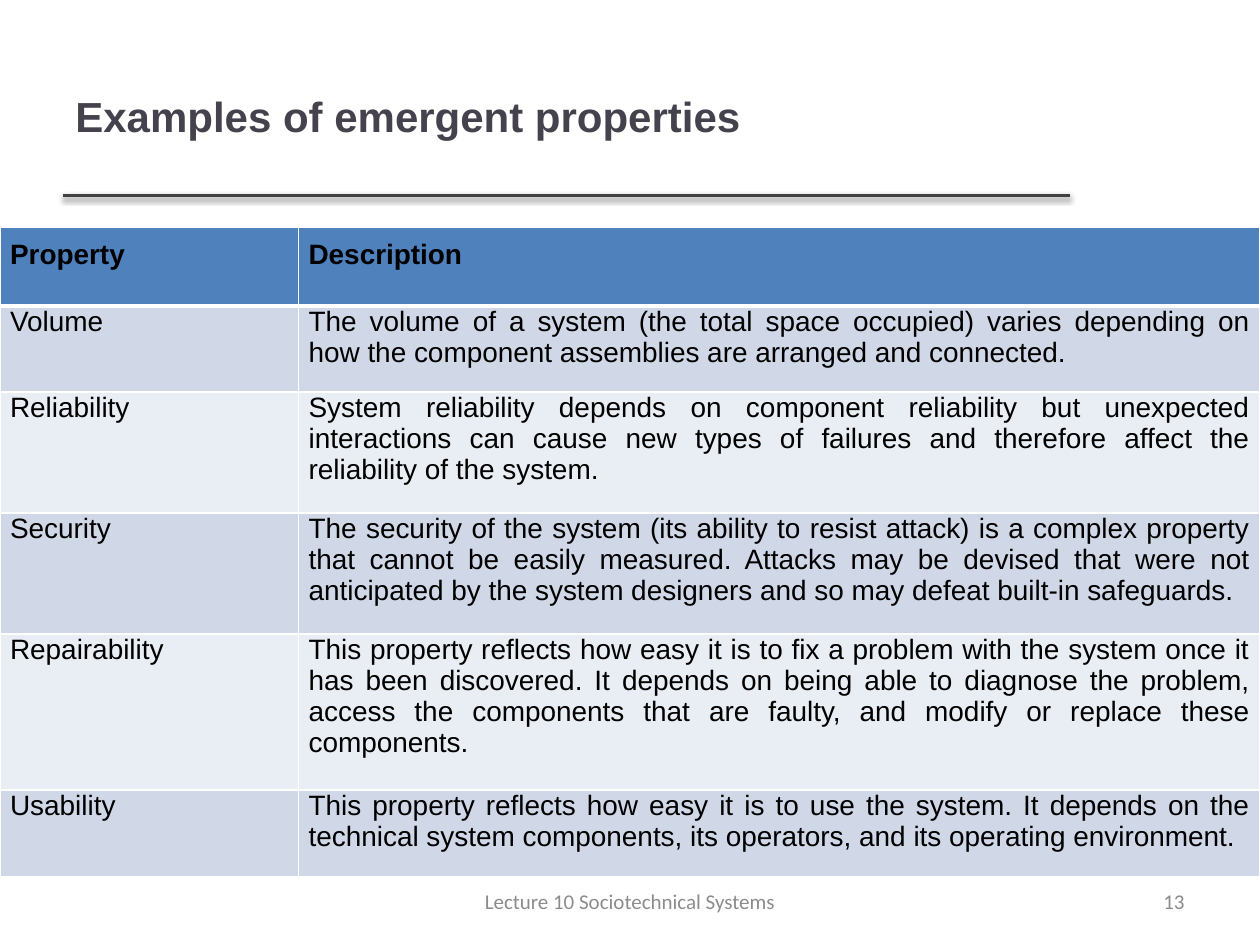
from lxml.etree import SubElement
from pptx import Presentation
from pptx.dml.color import RGBColor
from pptx.enum.shapes import MSO_CONNECTOR
from pptx.enum.text import MSO_ANCHOR, PP_ALIGN
from pptx.oxml.ns import qn
from pptx.util import Pt

TITLE_FONT = {"name": "Arial", "size": Pt(24), "bold": True}
HEADER_FONT = {"name": "Arial", "size": Pt(16), "bold": True}
BODY_FONT = {**HEADER_FONT, "bold": False}
FOOTER_FONT = {"name": "Calibri", "size": Pt(12), "bold": False}
FOOTER_COLOUR = "8C8C8C"

HEADER_FILL = "4F81BD"
BAND_FILLS = ["E9EDF4", "D0D8E8"]
COLUMN_WIDTHS = [170.6, 549.4]
ROW_HEIGHTS = [45.3, 49.2, 69.1, 69.1, 89.3, 49.2]
ROWS = [
    ("Property", "Description"),
    ("Volume",
     "The volume of a system (the total space occupied) varies depending on "
     "how the component assemblies are arranged and connected."),
    ("Reliability",
     "System reliability depends on component reliability but unexpected "
     "interactions can cause new types of failures and therefore affect the "
     "reliability of the system."),
    ("Security",
     "The security of the system (its ability to resist attack) is a complex "
     "property that cannot be easily measured. Attacks may be devised that "
     "were not anticipated by the system designers and so may defeat built-in "
     "safeguards."),
    ("Repairability",
     "This property reflects how easy it is to fix a problem with the system "
     "once it has been discovered. It depends on being able to diagnose the "
     "problem, access the components that are faulty, and modify or replace "
     "these components."),
    ("Usability",
     "This property reflects how easy it is to use the system. It depends on "
     "the technical system components, its operators, and its operating "
     "environment."),
]


def colour(value):
    return RGBColor.from_string(value)


def write(para, text, font, text_colour, align):
    para.alignment = align
    span = para.add_run()
    span.text = text
    for name, value in font.items():
        setattr(span.font, name, value)
    span.font.color.rgb = colour(text_colour)


def add_text(page, place, text, font, text_colour, align):
    box = page.shapes.add_textbox(*map(Pt, place))
    frame = box.text_frame
    frame.word_wrap = True
    frame.vertical_anchor = MSO_ANCHOR.MIDDLE
    write(frame.paragraphs[0], text, font, text_colour, align)


def add_rule(page, left, right, y):
    rule = page.shapes.add_connector(
        MSO_CONNECTOR.STRAIGHT, Pt(left), Pt(y), Pt(right), Pt(y))
    rule.line.color.rgb = colour("404040")
    rule.line.width = Pt(2)
    # Soft shadow straight below the rule
    effects = SubElement(rule._element.spPr, qn("a:effectLst"))
    shadow = SubElement(effects, qn("a:outerShdw"), blurRad=str(Pt(3.1)),
                        dist=str(Pt(1.6)), dir="5400000", rotWithShape="0")
    black = SubElement(shadow, qn("a:srgbClr"), val="000000")
    SubElement(black, qn("a:alpha"), val="38000")


def add_borders(cell, widths):
    properties = cell._tc.get_or_add_tcPr()
    for side, width in widths.items():
        line = SubElement(properties, qn(f"a:ln{side}"), w=str(Pt(width)))
        fill = SubElement(line, qn("a:solidFill"))
        SubElement(fill, qn("a:srgbClr"), val="FFFFFF")


def format_cell(cell, text, row):
    header = row == 0
    margins = {"margin_left": 5.76, "margin_right": 5.76,
               "margin_top": 7.2 if header else 0, "margin_bottom": 7.2}
    for name, value in margins.items():
        setattr(cell, name, Pt(value))
    # The line under the header is thicker than the others
    add_borders(cell, {"L": 1, "R": 1, "T": 3 if row == 1 else 1,
                       "B": 3 if header else 1})
    cell.fill.solid()
    cell.fill.fore_color.rgb = colour(
        HEADER_FILL if header else BAND_FILLS[row % 2])
    write(cell.text_frame.paragraphs[0], text,
          HEADER_FONT if header else BODY_FONT, "000000", PP_ALIGN.JUSTIFY)


def add_property_table(page, left, top):
    table = page.shapes.add_table(
        len(ROWS), len(COLUMN_WIDTHS), Pt(left), Pt(top),
        Pt(sum(COLUMN_WIDTHS)), Pt(sum(ROW_HEIGHTS))).table
    for column, width in zip(table.columns, COLUMN_WIDTHS):
        column.width = Pt(width)
    for row, (height, texts) in enumerate(zip(ROW_HEIGHTS, ROWS)):
        table.rows[row].height = Pt(height)
        for column, text in enumerate(texts):
            format_cell(table.cell(row, column), text, row)


def main():
    deck = Presentation()
    deck.slide_width, deck.slide_height = Pt(720), Pt(540)
    page = deck.slides.add_slide(deck.slide_layouts[6])

    # Heading
    add_rule(page, 36, 611.3, 111.6)
    add_text(page, (36, 21, 648, 90), "Examples of emergent properties",
             TITLE_FONT, "46424D", PP_ALIGN.LEFT)

    # Properties and their descriptions
    add_property_table(page, 0, 129.6)

    # Footer
    add_text(page, (516, 500.5, 168, 28.75), "13",
             FOOTER_FONT, FOOTER_COLOUR, PP_ALIGN.RIGHT)
    add_text(page, (246, 500.5, 228, 28.75),
             "Lecture 10 Sociotechnical Systems",
             FOOTER_FONT, FOOTER_COLOUR, PP_ALIGN.CENTER)

    deck.save("out.pptx")


if __name__ == "__main__":
    main()
